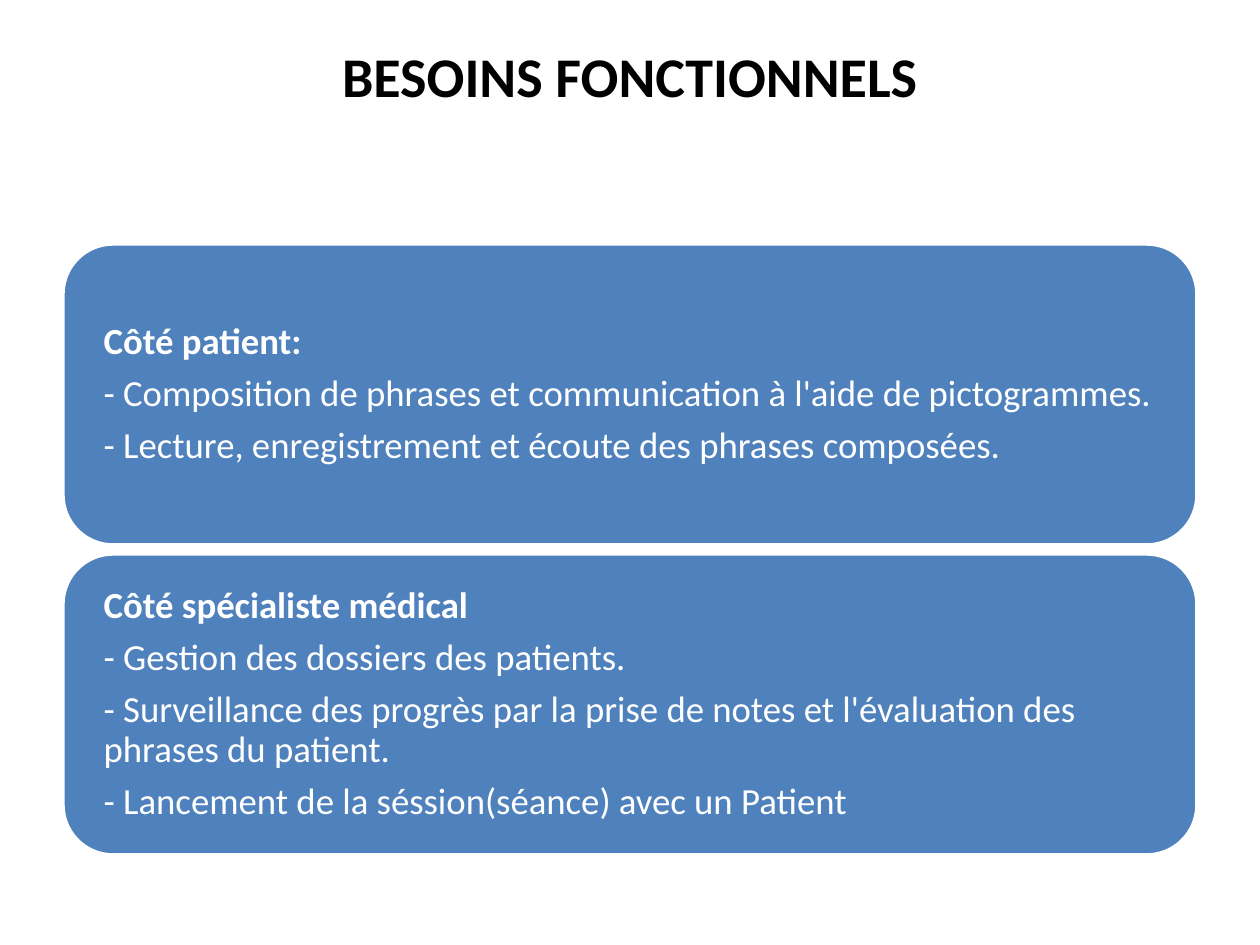
from dataclasses import dataclass

from pptx import Presentation
from pptx.dml.color import RGBColor
from pptx.enum.shapes import MSO_SHAPE
from pptx.enum.text import MSO_ANCHOR, PP_ALIGN
from pptx.util import Emu, Pt

ROUNDED = MSO_SHAPE.ROUNDED_RECTANGLE
TOP, MIDDLE = MSO_ANCHOR.TOP, MSO_ANCHOR.MIDDLE
LEFT, CENTER = PP_ALIGN.LEFT, PP_ALIGN.CENTER

TITLE = "BESOINS FONCTIONNELS"
CARDS = [
    ("Côté patient:", [
        "- Composition de phrases et communication à l'aide de pictogrammes.",
        "- Lecture, enregistrement et écoute des phrases composées.",
    ]),
    ("Côté spécialiste médical", [
        "- Gestion des dossiers des patients.",
        "- Surveillance des progrès par la prise de notes et l'évaluation des phrases du patient.",
        "- Lancement de la séssion(séance) avec un Patient",
    ]),
]


@dataclass(frozen=True)
class Theme:
    font: str = "Calibri"
    black: RGBColor = RGBColor(0x00, 0x00, 0x00)
    white: RGBColor = RGBColor(0xFF, 0xFF, 0xFF)
    blue: RGBColor = RGBColor(0x4F, 0x81, 0xBD)
    title_size: int = 32
    body_size: int = 21
    border: int = 2


THEME = Theme()
WIDTH, HEIGHT = 1260, 945
MARGIN = 63
TITLE_TOP, TITLE_HEIGHT = 35, 81
CARD_TOP, CARD_HEIGHT, CARD_GAP = 244, 301, 9
CARD_INSET = 26


def px(value):
    return Emu(value * 914400 // 126)


def write(shape, lines, *, size, color, align=LEFT, anchor=TOP, spacing=1.0, after=0):
    frame = shape.text_frame
    frame.word_wrap = True
    frame.vertical_anchor = anchor
    for index, (text, bold) in enumerate(lines):
        paragraph = frame.add_paragraph() if index else frame.paragraphs[0]
        paragraph.alignment = align
        paragraph.line_spacing = spacing
        paragraph.space_after = Pt(after)
        run = paragraph.add_run()
        run.text = text
        run.font.name = THEME.font
        run.font.size = Pt(size)
        run.font.bold = bold
        run.font.color.rgb = color


def add_card(slide, top, heading, items):
    card = slide.shapes.add_shape(
        ROUNDED, px(MARGIN), px(top), px(WIDTH - 2 * MARGIN), px(CARD_HEIGHT))
    card.shadow.inherit = False
    card.fill.solid()
    card.fill.fore_color.rgb = THEME.blue
    card.line.color.rgb = THEME.white
    card.line.width = Pt(THEME.border)
    frame = card.text_frame
    frame.margin_left = frame.margin_right = px(CARD_INSET)
    frame.margin_top = frame.margin_bottom = 0
    lines = [(heading, True)] + [(item, False) for item in items]
    write(card, lines, size=THEME.body_size, color=THEME.white,
          anchor=MIDDLE, spacing=0.9, after=7.2)


def main():
    presentation = Presentation()
    presentation.slide_width, presentation.slide_height = px(WIDTH), px(HEIGHT)
    slide = presentation.slides.add_slide(presentation.slide_layouts[6])
    title = slide.shapes.add_textbox(
        px(MARGIN), px(TITLE_TOP), px(WIDTH - 2 * MARGIN), px(TITLE_HEIGHT))
    write(title, [(TITLE, True)], size=THEME.title_size, color=THEME.black, align=CENTER)
    for index, (heading, items) in enumerate(CARDS):
        add_card(slide, CARD_TOP + index * (CARD_HEIGHT + CARD_GAP), heading, items)
    presentation.save("out.pptx")


if __name__ == "__main__":
    main()
